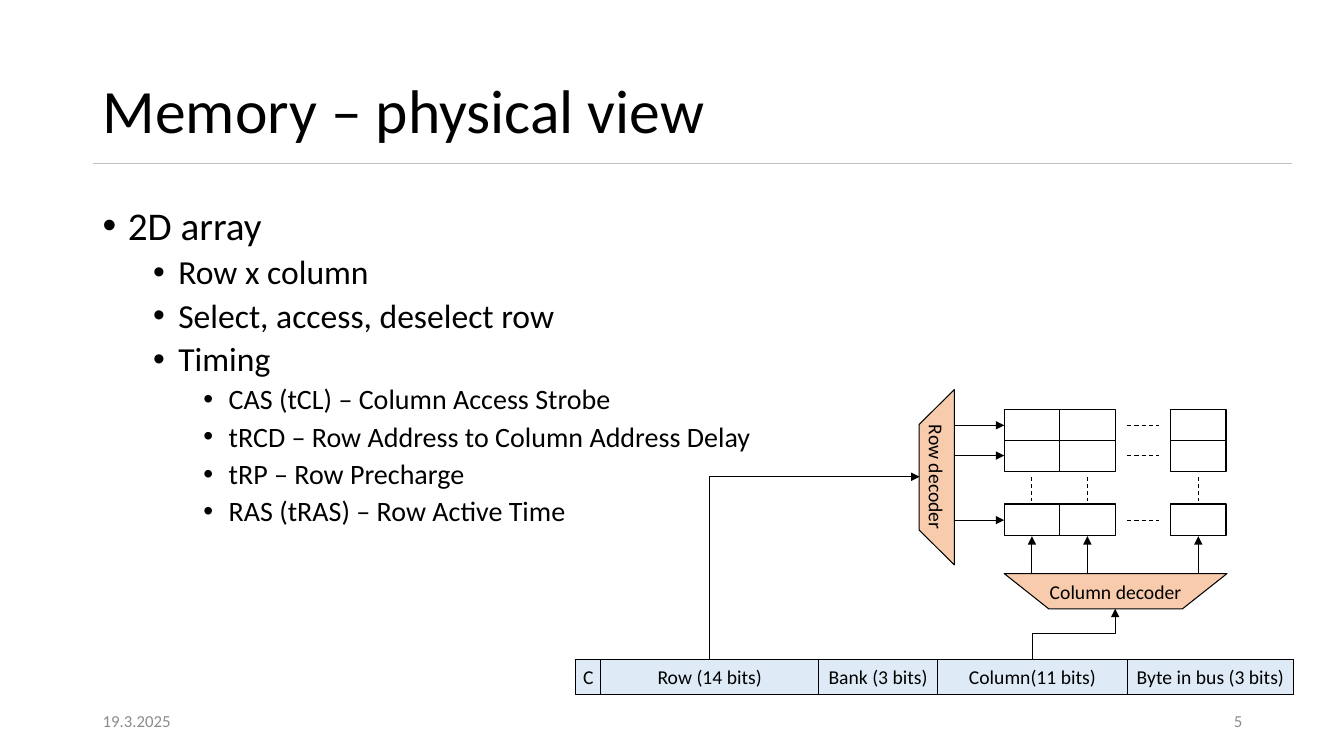
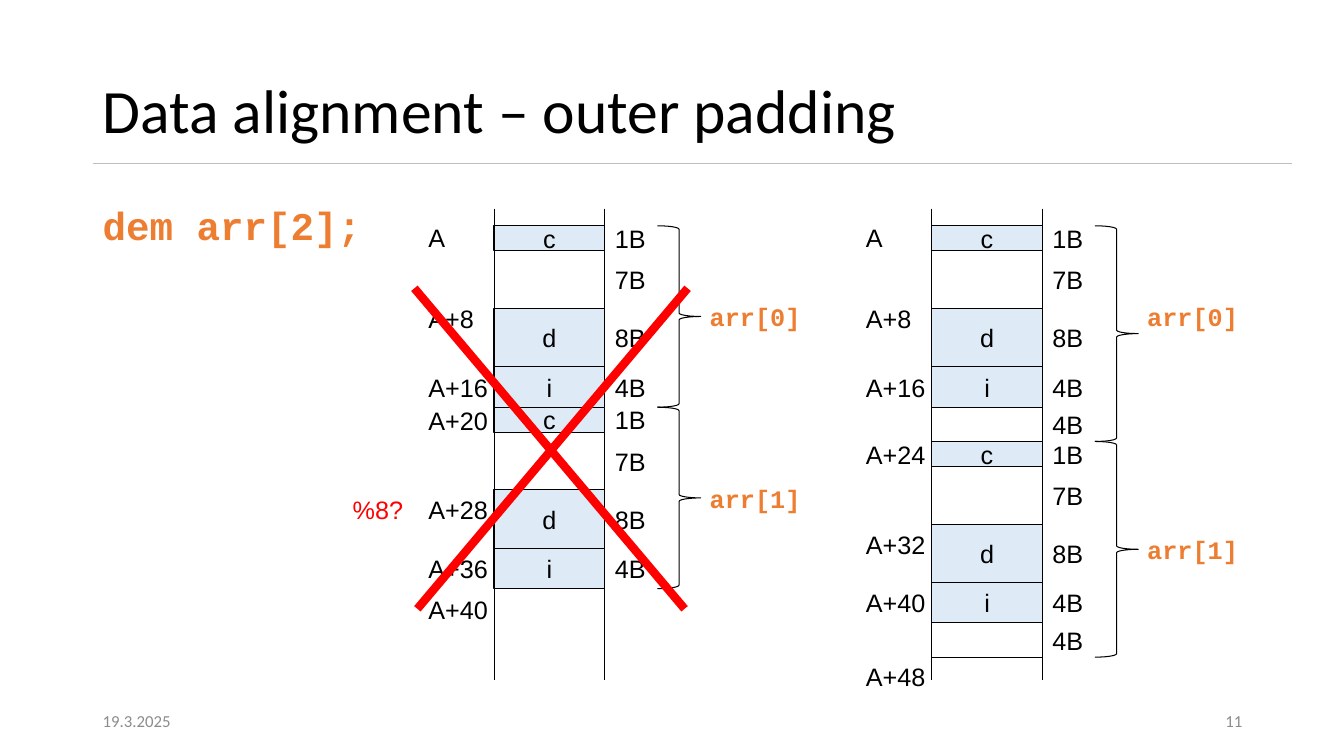
import pptx
import pptx.util
import pptx.dml.color
import pptx.enum.dml
import pptx.enum.shapes
import pptx.enum.text
import pptx.oxml.ns
from lxml import etree

Inches, Pt = pptx.util.Inches, pptx.util.Pt
SHAPE = pptx.enum.shapes.MSO_SHAPE
LINK = pptx.enum.shapes.MSO_CONNECTOR
ALIGN = pptx.enum.text.PP_ALIGN
ANCHOR = pptx.enum.text.MSO_ANCHOR
qn = pptx.oxml.ns.qn

COLORS = {"ink": "000000", "rule": "BFBFBF", "foot": "8C8C8C", "blue": "DEEBF7",
          "peach": "F8CBAD", "code": "ED7D31", "red": "FF0000"}
DATE = "19.3.2025"

# Slide 1: (level, text), then address fields as (text, width)
POINTS = [
    (0, "2D array"),
    (1, "Row x column"),
    (1, "Select, access, deselect row"),
    (1, "Timing"),
    (2, "CAS (tCL) – Column Access Strobe"),
    (2, "tRCD – Row Address to Column Address Delay"),
    (2, "tRP – Row Precharge"),
    (2, "RAS (tRAS) – Row Active Time"),
]
LEVELS = [(28, 10), (24, 5), (20, 5)]  # text size, space before
FIELDS = [("C", 0.25), ("Row (14 bits)", 2.16), ("Bank (3 bits)", 1.18),
          ("Column(11 bits)", 1.88), ("Byte in bus (3 bits)", 1.65)]
GRID_COLS = [9.96, 10.51, 11.61]
GRID_ROWS = [(4.06, 4.22), (4.37, 4.52), (5, 5.16)]  # cell top, select line
CELL = (0.55, 0.31)

# Slide 2: member name (None for padding), size label, height
MEMBERS = [("c", "1B", 0.25), (None, "7B", 0.57), ("d", "8B", 0.58), ("i", "4B", 0.4)]
OUTER = (None, "4B", 0.34)
STACKS = [
    {"left": 4.9, "rows": MEMBERS, "names": [("arr[0]", 2.94), ("arr[1]", 4.75)],
     "marks": [("A", 2.16), ("A+8", 2.96), ("A+16", 3.64), ("A+20", 3.97),
               ("A+28", 4.86), ("A+36", 5.44), ("A+40", 5.85)]},
    {"left": 9.24, "rows": MEMBERS + [OUTER], "names": [("arr[0]", 2.94), ("arr[1]", 5.25)],
     "marks": [("A", 2.16), ("A+8", 2.96), ("A+16", 3.64), ("A+24", 4.31),
               ("A+32", 5.2), ("A+40", 5.78), ("A+48", 6.51)]},
]
STACK_TOP, CELL_W, LABEL_H = 2.24, 1.1, 0.4


def rgb(name):
    return pptx.dml.color.RGBColor.from_string(COLORS[name])


def style(para, size, face="Calibri", color="ink", bold=False):
    for run in para.runs:
        run.font.size, run.font.name, run.font.bold = Pt(size), face, bold
        run.font.color.rgb = rgb(color)


def label(slide, box, text, size, align=ALIGN.LEFT, anchor=ANCHOR.TOP, **font):
    shape = slide.shapes.add_textbox(*map(Inches, box))
    frame = shape.text_frame
    frame.word_wrap, frame.vertical_anchor = True, anchor
    frame.text = text
    frame.paragraphs[0].alignment = align
    style(frame.paragraphs[0], size, **font)
    return frame


def block(slide, kind, box, fill=None, text="", size=14, face="Calibri"):
    shape = slide.shapes.add_shape(kind, *map(Inches, box))
    shape.shadow.inherit = False
    if fill:
        shape.fill.solid()
        shape.fill.fore_color.rgb = rgb(fill)
    else:
        shape.fill.background()
    shape.line.color.rgb, shape.line.width = rgb("ink"), Pt(0.75)
    if text:
        frame = shape.text_frame
        frame.margin_left = frame.margin_right = 0
        frame.margin_top = frame.margin_bottom = 0
        frame.word_wrap, frame.vertical_anchor = False, ANCHOR.MIDDLE
        frame.text = text
        frame.paragraphs[0].alignment = ALIGN.CENTER
        style(frame.paragraphs[0], size, face)
    return shape


def line(slide, start, end, color="ink", width=0.75, dash=False, arrow=False,
         kind=LINK.STRAIGHT):
    link = slide.shapes.add_connector(kind, *map(Inches, start + end))
    link.line.color.rgb, link.line.width = rgb(color), Pt(width)
    if dash:
        link.line.dash_style = pptx.enum.dml.MSO_LINE.DASH
    if arrow:
        etree.SubElement(link.line._get_or_add_ln(), qn("a:tailEnd"), type="triangle")
    etree.SubElement(link._element.spPr, qn("a:effectLst"))
    return link


def bend(slide, start, end, preset):
    """Elbow arrow that leaves upwards: a quarter-turned box round the same centre."""
    midx, midy = (start[0] + end[0]) / 2, (start[1] + end[1]) / 2
    halfw, halfh = (start[1] - end[1]) / 2, (end[0] - start[0]) / 2
    link = line(slide, (midx + halfw, midy + halfh), (midx - halfw, midy - halfh),
                arrow=True, kind=LINK.ELBOW)
    props = link._element.spPr
    props.find(qn("a:xfrm")).set("rot", str(90 * 60000))
    props.find(qn("a:prstGeom")).set("prst", preset)


def page(deck, title, number):
    slide = deck.slides.add_slide(deck.slide_layouts[6])
    line(slide, (0.92, 1.62), (12.81, 1.62), "rule", 1)
    head = label(slide, (0.92, 0.4, 10.63, 1.45), title, 44, anchor=ANCHOR.MIDDLE)
    head.paragraphs[0].line_spacing = 0.9
    for left, text, align in ((0.92, DATE, ALIGN.LEFT), (9.42, number, ALIGN.RIGHT)):
        label(slide, (left, 6.95, 3, 0.4), text, 12, align, ANCHOR.MIDDLE, color="foot")
    return slide


def outline(slide):
    frame = label(slide, (0.92, 2, 11.5, 4.76), "", 28)
    for i, (level, text) in enumerate(POINTS):
        para = frame.add_paragraph() if i else frame.paragraphs[0]
        size, gap = LEVELS[level]
        para.text = text
        props = para._p.get_or_add_pPr()
        props.set("marL", str(Inches(0.25 + 0.5 * level)))
        props.set("indent", str(Inches(-0.25)))
        etree.SubElement(props, qn("a:buFont"), typeface="Arial")
        etree.SubElement(props, qn("a:buChar"), char="•")
        para.line_spacing = 0.9
        if i:
            para.space_before = Pt(gap)
        style(para, size)


def memory(slide):
    for top, wire in GRID_ROWS:
        for left in GRID_COLS:
            block(slide, SHAPE.RECTANGLE, (left, top, *CELL))
        line(slide, (11.18, wire), (11.5, wire), dash=True)
        line(slide, (9.46, wire), (GRID_COLS[0], wire), arrow=True)
    for left in GRID_COLS:
        mid = left + CELL[0] / 2
        line(slide, (mid, 4.73), (mid, 4.97), dash=True)
        line(slide, (mid, 5.69), (mid, 5.32), arrow=True)

    left = 5.71
    for text, width in FIELDS:
        block(slide, SHAPE.RECTANGLE, (left, 6.54, width, 0.35), "blue", text)
        left += width

    trap = SHAPE.FLOWCHART_MANUAL_OPERATION
    block(slide, trap, (9.96, 5.69, 2.21, 0.35), "peach", "Column decoder")
    block(slide, trap, (8.42, 4.56, 1.74, 0.35), "peach", "Row decoder").rotation = 90
    bend(slide, (10.24, 6.54), (11.06, 6.04), "bentConnector3")
    bend(slide, (7.04, 6.54), (9.12, 4.73), "bentConnector2")


def stack(slide, left, rows, names, marks):
    right = left + CELL_W
    for side in (left, right):
        line(slide, (side, 2.07), (side, 6.75))
    top = STACK_TOP
    for name, at in names:
        start = top
        for member, size, height in rows:
            if member:
                block(slide, SHAPE.RECTANGLE, (left, top, CELL_W, height),
                      "blue", member, 18, "Arial")
            label(slide, (right, top + (height - LABEL_H) / 2, 0.8, LABEL_H),
                  size, 18, face="Arial")
            top += height
        line(slide, (left, top), (right, top))
        brace = block(slide, SHAPE.RIGHT_BRACE, (left + 1.62, start, 0.43, top - start))
        brace.adjustments[0] = 0.08
        label(slide, (left + 2.04, at, 1.3, LABEL_H), name, 18,
              face="Courier New", color="code", bold=True)
    for mark, at in marks:
        label(slide, (left - 0.75, at, 1, LABEL_H), mark, 18, face="Arial")


def main():
    deck = pptx.Presentation()
    deck.slide_width, deck.slide_height = Inches(13.33), Inches(7.5)

    slide = page(deck, "Memory – physical view", "5")
    outline(slide)
    memory(slide)

    slide = page(deck, "Data alignment – outer padding", "11")
    code = label(slide, (0.92, 2, 3.2, 0.6), "dem arr[2];", 28,
                 face="Courier New", color="code", bold=True)
    code.paragraphs[0].line_spacing = 0.9
    for item in STACKS:
        stack(slide, **item)
    label(slide, (3.4, 4.86, 0.9, LABEL_H), "%8?", 18, face="Arial", color="red")
    for start, end in ((4.11, 6.79), (6.82, 4.14)):
        line(slide, (start, 2.86), (end, 6.04), "red", 6)

    deck.save("out.pptx")


if __name__ == "__main__":
    main()
